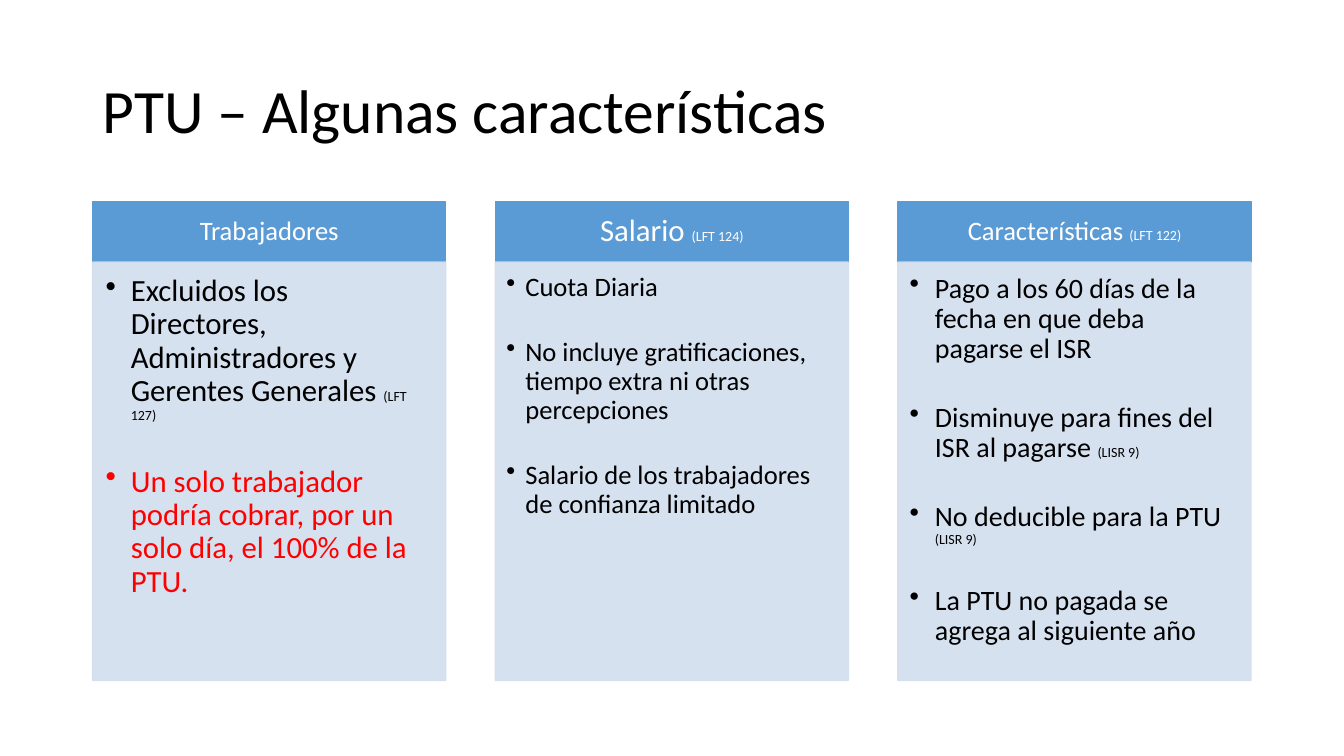
from dataclasses import dataclass

from lxml import etree
from pptx import Presentation
from pptx import util as u
from pptx.dml.color import RGBColor
from pptx.enum import shapes, text
from pptx.oxml.ns import qn


@dataclass(frozen=True)
class Theme:
    font: str = "Calibri"
    ink: str = "000000"
    white: str = "FFFFFF"
    alert: str = "FF0000"
    head: str = "5B9BD5"
    body: str = "D2DEEF"
    title: int = 44
    cite: int = 10
    lead: float = 0.9
    clear: int = 90


class Deck:
    def __init__(self, theme):
        self.theme = theme
        self.prs = Presentation()
        self.prs.slide_width, self.prs.slide_height = u.Pt(960), u.Pt(540)
        self.slide = self.prs.slides.add_slide(self.prs.slide_layouts[6])

    def style(self, item, **vals):
        for key, val in vals.items():
            setattr(item, key, val)

    def frame(self, shape, pads, anchor):
        """Set insets (left, top, right, bottom) in points and the anchor."""
        sides = ("left", "top", "right", "bottom")
        vals = {f"margin_{side}": u.Pt(pad) for side, pad in zip(sides, pads)}
        self.style(shape.text_frame, word_wrap=True, vertical_anchor=anchor, **vals)
        return shape.text_frame

    def label(self, para, words, size, color, align=text.PP_ALIGN.LEFT):
        """Fill a paragraph; words is (main text, optional citation)."""
        self.style(para, alignment=align, line_spacing=self.theme.lead)
        for part, pts in zip(words, (size, self.theme.cite)):
            run = para.add_run()
            run.text = part
            self.style(run.font, name=self.theme.font, size=u.Pt(pts))
            run.font.color.rgb = RGBColor.from_string(color)

    def bullet(self, para, indent):
        props = para._p.get_or_add_pPr()
        props.set("marL", str(u.Pt(indent)))
        props.set("indent", str(-u.Pt(indent)))
        etree.SubElement(props, qn("a:buChar")).set("char", "•")

    def rect(self, box, color, clear=100):
        shape = self.slide.shapes.add_shape(
            shapes.MSO_SHAPE.RECTANGLE, *map(u.Pt, box))
        shape.shadow.inherit = False
        shape.line.width = u.Pt(1)
        shape.fill.solid()
        for fore in (shape.fill.fore_color, shape.line.color):
            fore.rgb = RGBColor.from_string(color)
        if clear < 100:
            for tint in shape._element.spPr.iter(qn("a:srgbClr")):
                etree.SubElement(tint, qn("a:alpha")).set("val", str(clear * 1000))
        return shape

    def title(self, words, box):
        shape = self.slide.shapes.add_textbox(*map(u.Pt, box))
        frame = self.frame(shape, (7.2, 3.6, 7.2, 3.6), text.MSO_ANCHOR.MIDDLE)
        self.label(frame.paragraphs[0], (words,), self.theme.title, self.theme.ink)

    def head(self, words, box, size):
        pads = (0.56 * size, 0.3 * size) * 2
        frame = self.frame(self.rect(box, self.theme.head), pads,
                           text.MSO_ANCHOR.MIDDLE)
        self.label(frame.paragraphs[0], words, size, self.theme.white,
                   text.PP_ALIGN.CENTER)

    def body(self, items, box, size, indent):
        pads = [part * size for part in (0.42, 0.42, 0.56, 0.63)]
        shape = self.rect(box, self.theme.body, self.theme.clear)
        frame = self.frame(shape, pads, text.MSO_ANCHOR.TOP)
        for num, (color, *words) in enumerate(items):
            para = frame.add_paragraph() if num else frame.paragraphs[0]
            if num:
                para.space_before = u.Pt(round(1.38 * size, 1))
            self.bullet(para, indent)
            self.label(para, words, size, color)


def main():
    theme = Theme()
    ink = theme.ink
    deck = Deck(theme)

    # Title
    deck.title("PTU – Algunas características", (66.2, 28.8, 828, 104.4))

    # Columns: heading, heading size, body size, indent, items
    cols = [
        (("Trabajadores",), 19, 22, 18, [
            (ink, "Excluidos los Directores, Administradores y Gerentes Generales ",
             "(LFT 127)"),
            (theme.alert, "Un solo trabajador podría cobrar, por un solo día, "
             "el 100% de la PTU."),
        ]),
        (("Salario ", "(LFT 124)"), 22, 19, 13.5, [
            (ink, "Cuota Diaria"),
            (ink, "No incluye gratificaciones, tiempo extra ni otras percepciones"),
            (ink, "Salario de los trabajadores de confianza limitado"),
        ]),
        (("Características ", "(LFT 122)"), 19, 20, 18, [
            (ink, "Pago a los 60 días de la fecha en que deba pagarse el ISR"),
            (ink, "Disminuye para fines del ISR al pagarse ", "(LISR 9)"),
            (ink, "No deducible para la PTU ", "(LISR 9)"),
            (ink, "La PTU no pagada se agrega al siguiente año"),
        ]),
    ]
    left, step, wide, top, high = 66.2, 287.6, 252.2, 144, 43.2
    for num, (name, big, size, indent, items) in enumerate(cols):
        x = left + num * step
        deck.head(name, (x, top, wide, high), big)
        deck.body(items, (x, top + high, wide, 298.8), size, indent)

    deck.prs.save("out.pptx")


if __name__ == "__main__":
    main()
